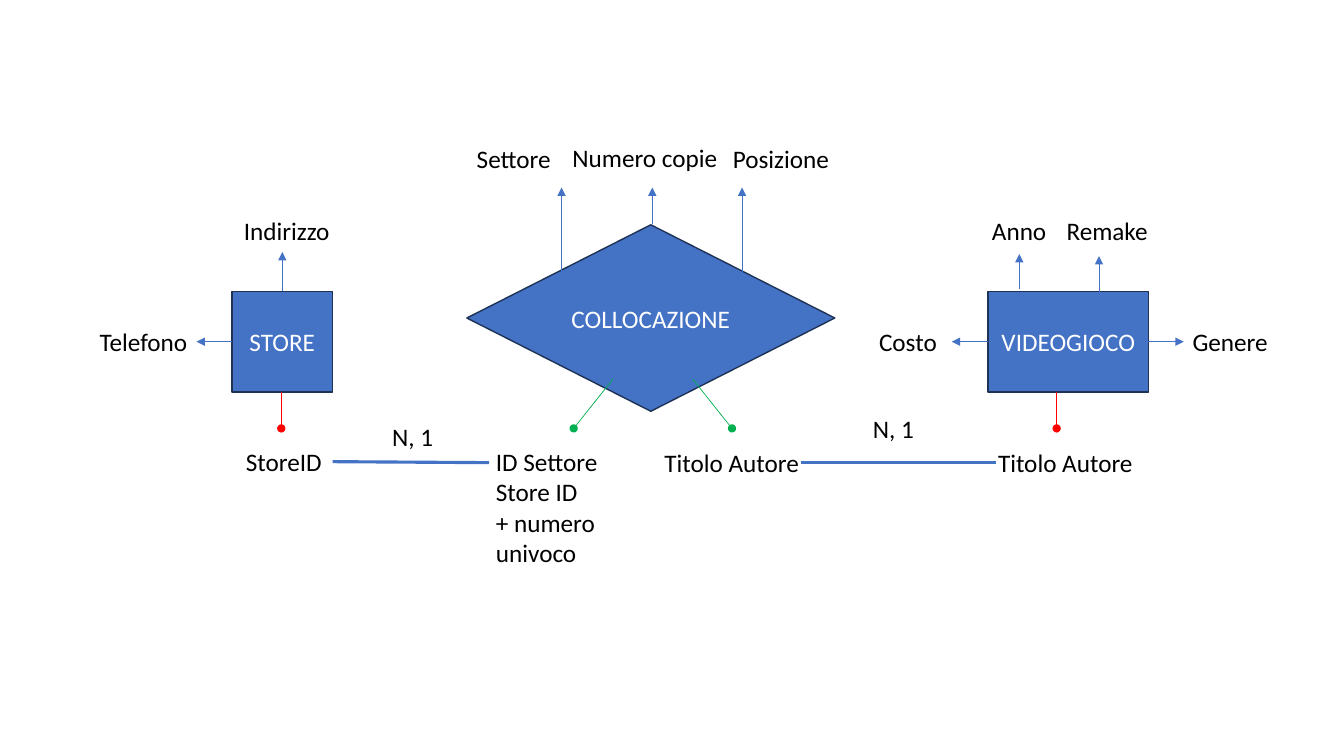
import pptx
import pptx.util
import pptx.dml.color
import pptx.enum.shapes
import pptx.enum.text
from lxml import etree
from pptx.util import Inches

BLUE, NAVY, RED, GREEN = "4472C4", "1E3256", "FF0000", "00B050"
SHAPE = pptx.enum.shapes.MSO_SHAPE
NS = "{http://schemas.openxmlformats.org/drawingml/2006/main}"


def paint(color_format, color):
    """Set a colour format to a hex colour."""
    color_format.rgb = pptx.dml.color.RGBColor.from_string(color)


def write(frame, text, color):
    """Put 18 pt Calibri text in a frame, one paragraph a line."""
    frame.text = text
    for paragraph in frame.paragraphs:
        paragraph.font.name = "Calibri"
        paragraph.font.size = pptx.util.Pt(18)
        paint(paragraph.font.color, color)


presentation = pptx.Presentation()
presentation.slide_width, presentation.slide_height = Inches(13.33), Inches(7.5)
slide = presentation.slides.add_slide(presentation.slide_layouts[6])

# Entities and the relationship between them
for title, outline, *box in [
    ("STORE", SHAPE.RECTANGLE, 2.3, 2.89, 1, 1),
    ("VIDEOGIOCO", SHAPE.RECTANGLE, 9.8, 2.89, 1.59, 1),
    ("COLLOCAZIONE", SHAPE.DIAMOND, 4.63, 2.23, 3.65, 1.85),
]:
    entity = slide.shapes.add_shape(outline, *map(Inches, box))
    entity.shadow.inherit = False
    entity.fill.solid()
    paint(entity.fill.fore_color, BLUE)
    paint(entity.line.color, NAVY)
    entity.line.width = pptx.util.Pt(1)
    write(entity.text_frame, title, "FFFFFF")
    entity.text_frame.vertical_anchor = pptx.enum.text.MSO_ANCHOR.MIDDLE
    entity.text_frame.paragraphs[0].alignment = pptx.enum.text.PP_ALIGN.CENTER

# Attributes, keys and cardinalities
for label, left, top, width in [
    ("StoreID", 2.34, 4.38, 0.96),
    ("Indirizzo", 2.32, 2.09, 1.06),
    ("Telefono", 0.89, 3.19, 1.08),
    ("Titolo Autore", 9.8, 4.39, 1.55),
    ("Anno", 9.74, 2.09, 0.75),
    ("Remake", 10.48, 2.09, 1.02),
    ("Costo", 8.62, 3.19, 0.78),
    ("Genere", 11.73, 3.19, 0.96),
    ("Settore", 4.63, 1.37, 0.95),
    ("Numero copie", 5.58, 1.36, 1.66),
    ("Posizione", 7.17, 1.37, 1.17),
    ("Titolo Autore", 6.49, 4.39, 1.55),
    ("ID Settore\nStore ID\n+ numero\nunivoco", 4.82, 4.38, 2.35),
    ("N, 1", 8.56, 4.05, 0.61),
    ("N, 1", 3.79, 4.13, 0.61),
]:
    several_lines = "\n" in label
    height = 1.31 if several_lines else 0.4
    attribute = slide.shapes.add_textbox(*map(Inches, (left, top, width, height)))
    attribute.text_frame.word_wrap = several_lines
    attribute.text_frame.auto_size = pptx.enum.text.MSO_AUTO_SIZE.SHAPE_TO_FIT_TEXT
    write(attribute.text_frame, label, "000000")

# Links by style: colour, width, end mark, then start and end points
for color, width, end_mark, links in [
    (BLUE, 0.5, "triangle", [
        (2.8, 2.89, 2.8, 2.5),
        (2.3, 3.39, 1.95, 3.39),
        (9.8, 3.39, 9.44, 3.39),
        (11.39, 3.39, 11.74, 3.39),
        (10.11, 2.87, 10.11, 2.52),
        (10.9, 2.9, 10.9, 2.54),
        (5.57, 3.05, 5.57, 1.86),
        (6.47, 2.22, 6.47, 1.86),
        (7.36, 3.05, 7.36, 1.86),
    ]),
    (RED, 0.5, "oval", [(2.79, 3.89, 2.79, 4.25), (10.48, 3.89, 10.48, 4.25)]),
    (GREEN, 0.5, "oval", [(6.08, 3.76, 5.69, 4.25), (6.87, 3.76, 7.26, 4.25)]),
    (BLUE, 2.25, None, [(3.3, 4.58, 4.85, 4.59), (7.94, 4.59, 9.88, 4.59)]),
]:
    for points in links:
        link = slide.shapes.add_connector(
            pptx.enum.shapes.MSO_CONNECTOR.STRAIGHT, *map(Inches, points))
        paint(link.line.color, color)
        link.line.width = pptx.util.Pt(width)
        properties = link._element.spPr
        if end_mark:
            etree.SubElement(properties.find(NS + "ln"), NS + "tailEnd", type=end_mark)
        etree.SubElement(properties, NS + "effectLst")

presentation.save("out.pptx")
